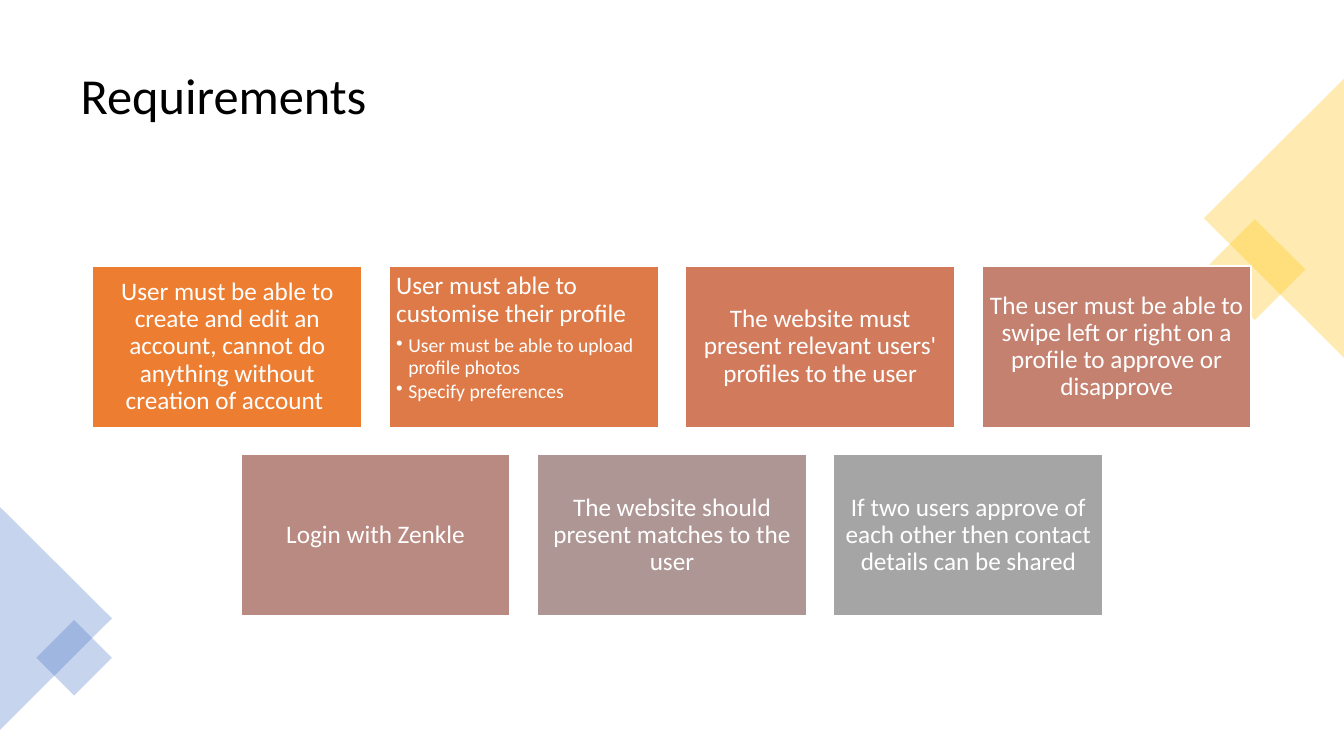
"""Build the Requirements slide: a title, corner ornaments and two centred rows of cards."""
from lxml.etree import SubElement
from pptx import Presentation
from pptx.dml.color import RGBColor
from pptx.enum.shapes import MSO_SHAPE
from pptx.enum.text import MSO_ANCHOR, PP_ALIGN
from pptx.oxml.ns import qn
from pptx.util import Inches, Pt

PAGE_WIDTH, PAGE_HEIGHT = 13.33, 7.5
CARD_WIDTH, CARD_HEIGHT, CARD_GAP = 2.67, 1.6, 0.27
FIRST_ROW_TOP = 2.64
INSET = 0.07

CARD_ROWS = [
    [
        ("ED7D31", "User must be able to create and edit an account, "
                   "cannot do anything without creation of account\u00a0", []),
        ("DE7A47", "User must able to customise their profile",
         ["User must be able to upload profile photos", "Specify preferences"]),
        ("D17B5C", "The website must present relevant users' profiles to the user", []),
        ("C48170", "The user must be able to swipe left or right on a profile "
                   "to approve or disapprove", []),
    ],
    [
        ("B98A82", "Login with Zenkle", []),
        ("AE9694", "The website should present matches to the user", []),
        ("A5A5A5", "If two users approve of each other then contact details can be shared", []),
    ],
]

ORNAMENTS = [
    (MSO_SHAPE.RECTANGLE, 12.09, 2.32, 0.71, 0.71, 45, "FFC000"),
    (MSO_SHAPE.ISOSCELES_TRIANGLE, 11.25, 1.47, 2.77, 1.39, 270, "FFC000"),
    (MSO_SHAPE.ISOSCELES_TRIANGLE, -0.55, 5.58, 2.21, 1.11, 90, "4472C4"),
    (MSO_SHAPE.RECTANGLE, 0.47, 6.26, 0.53, 0.53, 45, "4472C4"),
]


def color(value):
    """Turn a hex string into a colour."""
    return RGBColor.from_string(value)


def add_filled_shape(page, kind, left, top, width, height, fill):
    """Add a flat preset shape with a solid fill."""
    shape = page.shapes.add_shape(kind, Inches(left), Inches(top), Inches(width), Inches(height))
    shape.shadow.inherit = False
    shape.fill.solid()
    shape.fill.fore_color.rgb = color(fill)
    return shape


def add_ornament(page, kind, left, top, width, height, rotation, fill):
    """Add a rotated, see-through shape without outline."""
    shape = add_filled_shape(page, kind, left, top, width, height, fill)
    shape.rotation = rotation
    shape.line.fill.background()
    solid = shape.fill._xPr.find(qn("a:solidFill"))
    SubElement(solid[0], qn("a:alpha"), val="30000")


def write(para, text, size, text_color, align, after=0):
    """Fill a paragraph with one formatted run."""
    para.alignment = align
    para.line_spacing = 0.9
    para.space_before = Pt(0)
    para.space_after = Pt(after)
    span = para.add_run()
    span.text = text
    span.font.name = "Calibri"
    span.font.size = Pt(size)
    span.font.color.rgb = color(text_color)


def add_bullet(para):
    """Give a paragraph a hanging round bullet."""
    para.level = 1
    properties = para._p.get_or_add_pPr()
    properties.set("marL", str(Inches(0.12)))
    properties.set("indent", str(Inches(-0.12)))
    SubElement(properties, qn("a:buChar"), char="•")


def add_card(page, left, top, fill, heading, details):
    """Add a card with centred text, or a left-aligned heading above bullets."""
    card = add_filled_shape(page, MSO_SHAPE.RECTANGLE, left, top, CARD_WIDTH, CARD_HEIGHT, fill)
    card.line.color.rgb = color("FFFFFF")
    card.line.width = Pt(1)
    box = card.text_frame
    box.word_wrap = True
    box.margin_left = box.margin_right = box.margin_top = box.margin_bottom = Inches(INSET)
    box.vertical_anchor = MSO_ANCHOR.TOP if details else MSO_ANCHOR.MIDDLE
    align = PP_ALIGN.LEFT if details else PP_ALIGN.CENTER
    write(box.paragraphs[0], heading, 18, "FFFFFF", align, 6)
    for detail in details:
        para = box.add_paragraph()
        add_bullet(para)
        write(para, detail, 14, "FFFFFF", align, 2)


def add_card_row(page, top, cards):
    """Add one row of cards centred on the page."""
    pitch = CARD_WIDTH + CARD_GAP
    start = (PAGE_WIDTH - len(cards) * pitch + CARD_GAP) / 2
    for column, card in enumerate(cards):
        add_card(page, start + column * pitch, top, *card)


def set_title(page, text):
    """Place and fill the title placeholder."""
    title = page.shapes.title
    title.left, title.top = Inches(0.7), Inches(0.35)
    title.width, title.height = Inches(11.93), Inches(1.24)
    title.text_frame.vertical_anchor = MSO_ANCHOR.MIDDLE
    write(title.text_frame.paragraphs[0], text, 36, "000000", PP_ALIGN.LEFT)


def main():
    """Build and save the deck."""
    deck = Presentation()
    deck.slide_width, deck.slide_height = Inches(PAGE_WIDTH), Inches(PAGE_HEIGHT)
    page = deck.slides.add_slide(deck.slide_layouts[5])
    set_title(page, "Requirements")
    for ornament in ORNAMENTS:
        add_ornament(page, *ornament)
    for row, cards in enumerate(CARD_ROWS):
        add_card_row(page, FIRST_ROW_TOP + row * (CARD_HEIGHT + CARD_GAP), cards)
    deck.save("out.pptx")


if __name__ == "__main__":
    main()
